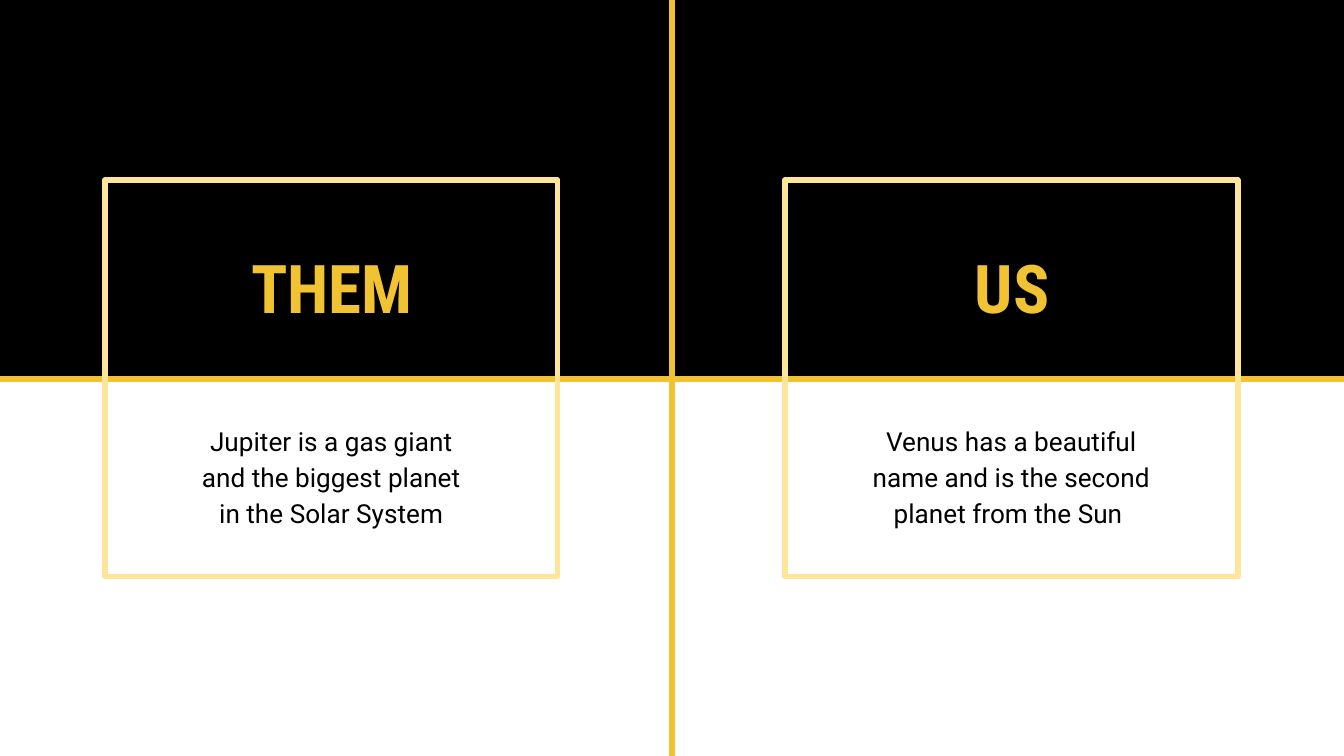
"""Build a two-sided comparison slide with framed text."""
import pptx
import pptx.util
import pptx.dml.color
import pptx.enum.shapes
import pptx.enum.text
import pptx.oxml.ns
import lxml.etree

Inches, Pt = pptx.util.Inches, pptx.util.Pt
RGBColor = pptx.dml.color.RGBColor
RECT = pptx.enum.shapes.MSO_SHAPE.RECTANGLE
LINE = pptx.enum.shapes.MSO_CONNECTOR.STRAIGHT
ALIGN, ANCHOR = pptx.enum.text.PP_ALIGN, pptx.enum.text.MSO_ANCHOR

BLACK = RGBColor(0x00, 0x00, 0x00)
GOLD = RGBColor(0xF1, 0xC2, 0x32)
CREAM = RGBColor(0xFF, 0xE5, 0x99)

SIDES = [
    (0.78, "THEM", "Jupiter is a gas giant and the biggest planet in the Solar System"),
    (5.84, "US", "Venus has a beautiful name and is the second planet from the Sun "),
]
WIDE, SPLIT = 10, 2.82
HIGH = WIDE * 9 / 16
FRAME, TITLE, BODY = 3.37, 3.38, 2.3


def add_rect(slide, box, fill=None, line=None):
    rect = slide.shapes.add_shape(RECT, *map(Inches, box))
    rect.shadow.inherit = False
    if fill is None:
        rect.fill.background()
    else:
        rect.fill.solid()
        rect.fill.fore_color.rgb = fill
    if line is None:
        rect.line.fill.background()
    else:
        rect.line.color.rgb = line
        rect.line.width = Pt(3)
        edge = rect._element.spPr.find(pptx.oxml.ns.qn("a:ln"))
        lxml.etree.SubElement(edge, pptx.oxml.ns.qn("a:round"))


def add_rule(slide, ends):
    rule = slide.shapes.add_connector(LINE, *map(Inches, ends))
    rule.line.color.rgb = GOLD
    rule.line.width = Pt(3)
    props = rule._element.spPr
    lxml.etree.SubElement(props, pptx.oxml.ns.qn("a:effectLst"))


def add_text(slide, box, text, face, size, color, bold, space):
    frame = slide.shapes.add_textbox(*map(Inches, box)).text_frame
    frame.word_wrap = True
    frame.vertical_anchor = ANCHOR.TOP
    frame.margin_left = frame.margin_right = Inches(0.1)
    frame.margin_top = frame.margin_bottom = Inches(0.1)
    para = frame.paragraphs[0]
    para.alignment = ALIGN.CENTER
    para.line_spacing = space
    run = para.add_run()
    run.text = text
    run.font.name = face
    run.font.size = Pt(size)
    run.font.bold = bold
    run.font.color.rgb = color


def main():
    deck = pptx.Presentation()
    deck.slide_width, deck.slide_height = Inches(WIDE), Inches(HIGH)
    slide = deck.slides.add_slide(deck.slide_layouts[6])

    add_rect(slide, (0, 0, WIDE, SPLIT), fill=BLACK)
    add_rule(slide, (WIDE / 2, 0, WIDE / 2, HIGH))
    add_rule(slide, (0, SPLIT, WIDE, SPLIT))

    for left, title, body in SIDES:
        add_rect(slide, (left, 1.34, FRAME, 2.95), line=CREAM)
        add_text(slide, (left, 1.73, TITLE, 0.76), title,
                 "Roboto Condensed", 36, GOLD, True, 1.0)
        inset = (FRAME - BODY) / 2
        add_text(slide, (left + inset, 3.03, BODY, 1), body,
                 "Roboto", 14, BLACK, False, 1.15)

    deck.save("out.pptx")


if __name__ == "__main__":
    main()
